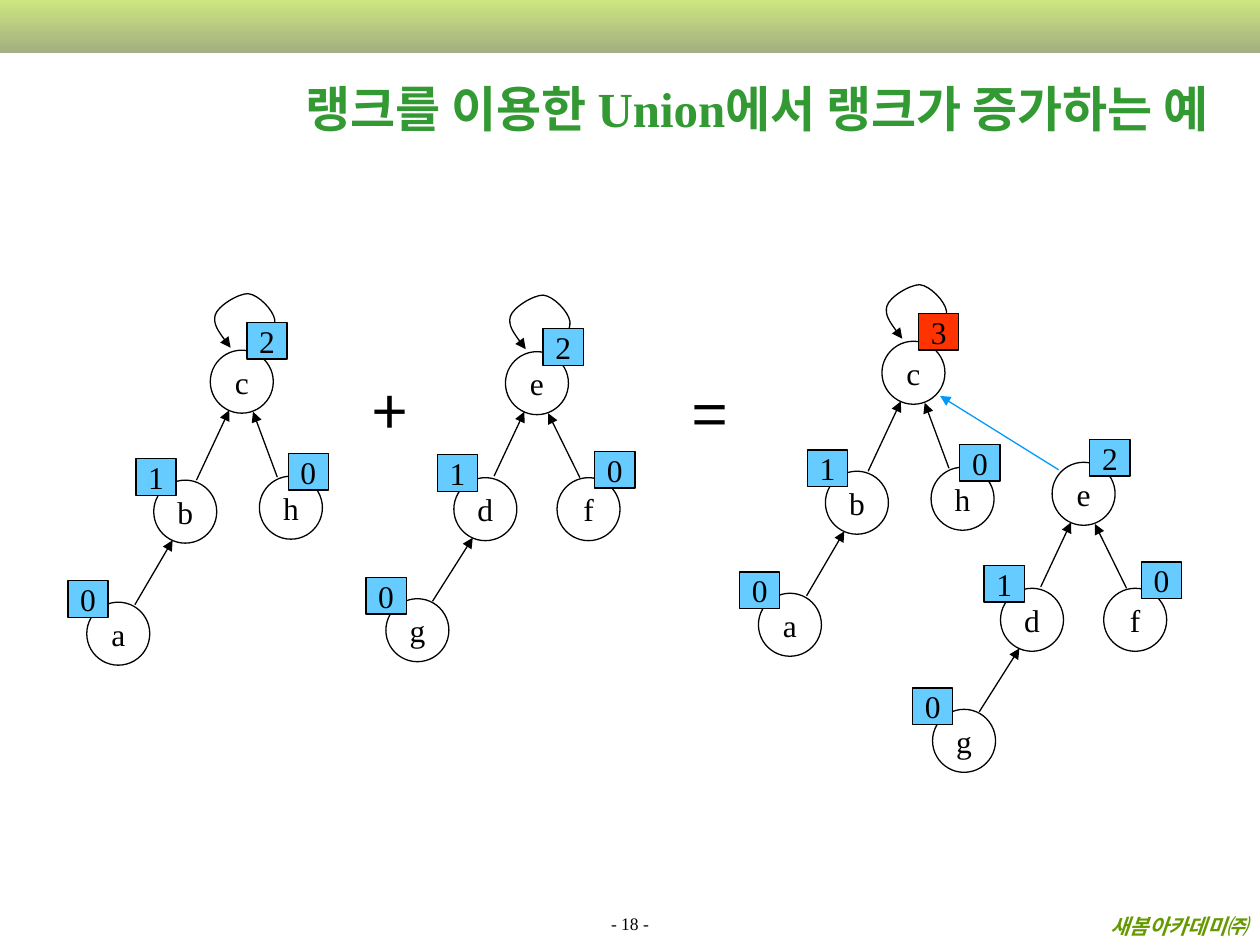
from lxml.etree import SubElement
from pptx import Presentation
from pptx.dml.color import RGBColor
from pptx.enum.shapes import MSO_CONNECTOR as Connector, MSO_SHAPE as Shape
from pptx.enum.text import MSO_ANCHOR as Anchor, MSO_AUTO_SIZE as AutoSize, PP_ALIGN as Align
from pptx.oxml.ns import qn
from pptx.util import Cm, Pt

BLACK, BLUE, RED, ARROW_BLUE = "000000", "66CCFF", "FF3300", "0099FF"
NODE = 1.27
BADGE = (0.81, 0.74)

# All offsets are in cm. Nodes are placed from the root's top left corner,
# badges and link starts from the node's, link ends from the parent's.
LEFT_END, RIGHT_END = (0.38, 1.21), (0.86, 1.24)
# node: (parent, offset, rank, badge offset, link start, link end)
TREE_C = {
    "c": (None, (0, 0), 2, (0.74, -0.56), None, None),
    "b": ("c", (-1.14, 2.62), 1, (-0.36, -0.43), (0.86, 0), LEFT_END),
    "h": ("c", (0.99, 2.54), 0, (0.58, -0.46), (0.36, 0.02), RIGHT_END),
    "a": ("b", (-2.49, 5.08), 0, (-0.38, -0.43), (0.97, 0.05), LEFT_END),
}
TREE_E = {
    "e": (None, (0, 0), 2, (0.76, -0.46), None, None),
    "d": ("e", (-1.04, 2.54), 1, (-0.33, -0.46), (0.81, -0.03), LEFT_END),
    "f": ("e", (1.04, 2.54), 0, (0.76, -0.53), (0.46, 0), RIGHT_END),
    "g": ("d", (-2.41, 4.98), 0, (-0.4, -0.43), (0.94, 0.05), LEFT_END),
}
# Start point, then three Bezier points for each curve.
LOOP = [(0.94, 0.08),
        (1.14, -0.18), (1.32, -0.41), (1.3, -0.61),
        (1.27, -0.81), (0.97, -1.12), (0.76, -1.14),
        (0.56, -1.14), (0.15, -0.89), (0.1, -0.71),
        (0.05, -0.53), (0.23, -0.28), (0.41, -0.05)]


def color(hex_code):
    return RGBColor.from_string(hex_code)


def shift(origin, offset):
    return origin[0] + offset[0], origin[1] + offset[1]


class Deck:
    """Holds the style and the current slide."""
    latin, korean = "Times New Roman", "Noto Sans CJK KR"

    def __init__(self, width, height):
        self.presentation = Presentation()
        self.presentation.slide_width = Cm(width)
        self.presentation.slide_height = Cm(height)
        layout = self.presentation.slide_layouts[5]
        self.slide = self.presentation.slides.add_slide(layout)
        self.shapes = self.slide.shapes

    def set_text(self, holder, text, size, ink=BLACK, font=None, align=Align.CENTER,
                 anchor=Anchor.MIDDLE, wrap=False, **extra):
        frame = holder.text_frame
        for name, value in {"word_wrap": wrap, "vertical_anchor": anchor,
                            "auto_size": AutoSize.NONE}.items():
            setattr(frame, name, value)
        paragraph = frame.paragraphs[0]
        paragraph.alignment = align
        run = paragraph.add_run()
        run.text = text
        formats = {"size": Pt(size), "name": font or self.latin, **extra}
        for name, value in formats.items():
            setattr(run.font, name, value)
        run.font.color.rgb = color(ink)
        SubElement(run._r.get_or_add_rPr(), qn("a:ea"), typeface=self.korean)

    def title(self, text, left, top, width, height, **style):
        holder = self.shapes.title
        for name, value in {"left": left, "top": top,
                            "width": width, "height": height}.items():
            setattr(holder, name, Cm(value))
        self.set_text(holder, text, wrap=True, **style)

    def text(self, text, left, top, width, height, **style):
        box = self.shapes.add_textbox(Cm(left), Cm(top), Cm(width), Cm(height))
        self.set_text(box, text, **style)

    def band(self, width, height, *stops):
        band = self.shapes.add_shape(Shape.RECTANGLE, 0, 0, Cm(width), Cm(height))
        band.shadow.inherit = False
        band.line.fill.background()
        band.fill.gradient()
        band.fill.gradient_angle = 270
        for stop, shade in zip(band.fill.gradient_stops, stops):
            stop.color.rgb = color(shade)

    def outline(self, shape, ink=BLACK, arrow=False):
        shape.line.width = Pt(0.75)
        shape.line.color.rgb = color(ink)
        if arrow:
            SubElement(shape.line._get_or_add_ln(), qn("a:tailEnd"), type="triangle")

    def label(self, kind, text, corner, size, fill=None):
        shape = self.shapes.add_shape(kind, *map(Cm, (*corner, *size)))
        shape.shadow.inherit = False
        if fill:
            shape.fill.solid()
            shape.fill.fore_color.rgb = color(fill)
        else:
            shape.fill.background()
        self.outline(shape)
        self.set_text(shape, text, size=18)

    def arrow(self, start, end, ink=BLACK):
        link = self.shapes.add_connector(Connector.STRAIGHT, *map(Cm, (*start, *end)))
        self.outline(link, ink, arrow=True)
        SubElement(link._element.spPr, qn("a:effectLst"))

    def loop(self, root):
        start, *rest = [tuple(map(Cm, shift(root, point))) for point in LOOP]
        builder = self.shapes.build_freeform(*start)
        builder.add_line_segments(rest, close=False)
        curve = builder.convert_to_shape()
        segments = curve._element.xpath(".//a:lnTo")
        for first in range(0, len(segments), 3):
            bezier = SubElement(segments[first].getparent(), qn("a:cubicBezTo"))
            for segment in segments[first:first + 3]:
                bezier.append(segment[0])
                segment.getparent().remove(segment)
        curve.shadow.inherit = False
        curve.fill.background()
        self.outline(curve, arrow=True)

    def tree(self, nodes, root, looped=True, new_rank=None):
        """Draw a tree; new_rank replaces the root's rank and marks it red."""
        if looped:
            self.loop(root)
        corners = {name: shift(root, node[1]) for name, node in nodes.items()}
        for name, corner in corners.items():
            self.label(Shape.OVAL, name, corner, (NODE, NODE))
        for name, (parent, _, rank, badge, start, end) in nodes.items():
            fill = BLUE
            if parent:
                self.arrow(shift(corners[name], start), shift(corners[parent], end))
            elif new_rank is not None:
                rank, fill = new_rank, RED
            self.label(Shape.RECTANGLE, str(rank), shift(corners[name], badge), BADGE, fill)


def main():
    deck = Deck(25.4, 19.05)
    deck.band(25.4, 1.07, "CCE680", "A3AF80")
    deck.text("새봄아카데미㈜", 0.15, 18.29, 25.25, 0.76, size=12, ink="669900",
              align=Align.RIGHT, anchor=Anchor.TOP, wrap=True, bold=True, italic=True)
    deck.text("- 18 -", 0, 18.39, 25.4, 0.56, size=10, anchor=Anchor.BOTTOM, wrap=True)
    deck.title("랭크를 이용한 Union에서 랭크가 증가하는 예", 5.33, 1.09, 19.86, 2.16,
               size=28, ink="339933", bold=True)

    deck.tree(TREE_C, (4.24, 7.06))
    deck.tree(TREE_E, (10.19, 7.09))
    deck.tree(TREE_C, (17.78, 6.88), new_rank=3)
    deck.tree(TREE_E, (21.21, 9.32), looped=False)
    deck.arrow((21.34, 9.47), (18.95, 7.98), ARROW_BLUE)

    for sign, left, top in (("+", 7.26, 7.39), ("=", 13.72, 7.44)):
        deck.text(sign, left, top, 1.22, 1.78, size=36, font=deck.korean,
                  align=Align.LEFT, anchor=Anchor.TOP)
    deck.presentation.save("out.pptx")


if __name__ == "__main__":
    main()
